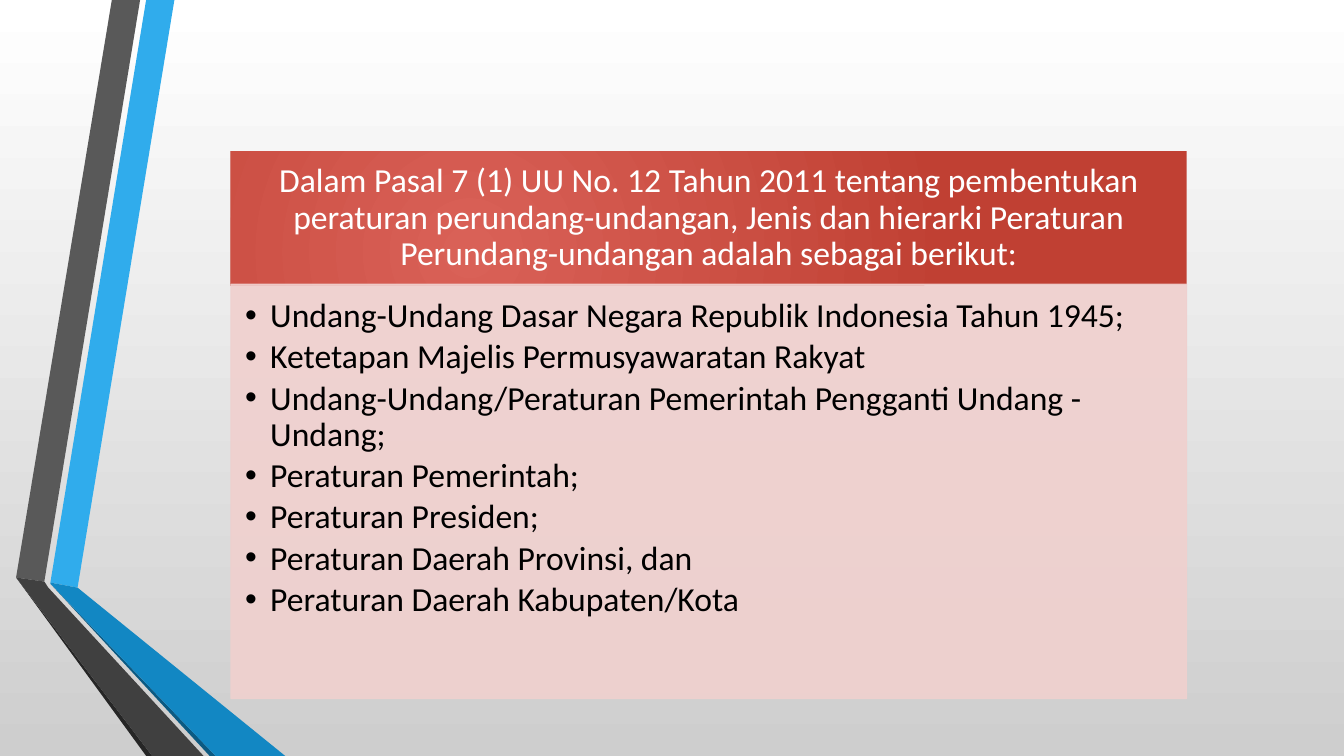
from dataclasses import dataclass

from lxml.etree import SubElement
from pptx import Presentation
from pptx.dml.color import RGBColor
from pptx.dml.fill import FillFormat
from pptx.enum.text import MSO_ANCHOR as Anchor, MSO_AUTO_SIZE as AutoSize, PP_ALIGN as Align
from pptx.oxml.ns import qn
from pptx.shapes.autoshape import Shape
from pptx.slide import Slide
from pptx.util import Inches, Pt

Point = tuple[float, float]


@dataclass
class Ribbon:
    color: str
    points: list[Point]


@dataclass
class Panel:
    top: float
    height: float
    insets: tuple[float, float, float, float]
    anchor: Anchor
    lines: list[str]
    paragraph: dict
    color: str


RIBBONS = [
    Ribbon("30ACEC", [(0.5, 5.78), (0.77, 5.83), (1.73, 0), (1.45, 0)]),
    Ribbon("595959", [(1.39, 0), (1.11, 0), (0.16, 5.73), (0.44, 5.77)]),
    Ribbon("262626", [(0.16, 5.73), (1.45, 7.5), (1.51, 7.5)]),
    Ribbon("0C5A82", [(0.5, 5.79), (2.08, 7.5), (2.14, 7.5)]),
    Ribbon("1287C3", [(0.5, 5.79), (2.14, 7.5), (2.83, 7.5), (0.77, 5.83), (0.5, 5.78)]),
    Ribbon("404040", [(2.02, 7.5), (0.48, 5.83), (0.44, 5.77), (0.16, 5.73), (1.51, 7.5)]),
]

HEADING = Panel(
    1.5, 1.33, (0.19, 0.11, 0.19, 0.11), Anchor.MIDDLE,
    ["Dalam Pasal 7 (1) UU No. 12 Tahun 2011 tentang pembentukan peraturan "
     "perundang-undangan, Jenis dan hierarki Peraturan Perundang-undangan "
     "adalah sebagai berikut:"],
    {"alignment": Align.CENTER}, "FFFFFF")

HIERARCHY = Panel(
    2.82, 4.11, (0.14, 0.14, 0.19, 0.21), Anchor.TOP,
    ["Undang-Undang Dasar Negara Republik Indonesia Tahun 1945;",
     "Ketetapan Majelis Permusyawaratan Rakyat",
     "Undang-Undang/Peraturan Pemerintah Pengganti Undang - Undang;",
     "Peraturan Pemerintah;",
     "Peraturan Presiden;",
     "Peraturan Daerah Provinsi, dan",
     "Peraturan Daerah Kabupaten/Kota"],
    {"alignment": Align.LEFT, "space_after": Pt(3.6)}, "000000")


def rgb(value: str) -> RGBColor:
    return RGBColor.from_string(value)


def set_attrs(target: object, values: dict) -> None:
    for name, value in values.items():
        setattr(target, name, value)


def set_gradient(fill: FillFormat, start: str, end: str) -> None:
    fill.gradient()
    for stop, color, position in zip(fill.gradient_stops, (start, end), (0, 1)):
        stop.color.rgb = rgb(color)
        stop.position = position


def make_radial(shape: Shape) -> None:
    """Replace the linear direction of a gradient fill with a circular one."""
    grad = shape._element.spPr.find(qn("a:gradFill"))
    grad.remove(grad.find(qn("a:lin")))
    circle = SubElement(grad, qn("a:path"), {"path": "circle"})
    SubElement(circle, qn("a:fillToRect"),
               {"l": "50000", "t": "100000", "r": "100000", "b": "50000"})


def set_tint(shape: Shape, color: str) -> None:
    """Give the fill and outline one colour at 90% opacity."""
    shape.fill.solid()
    shape.fill.fore_color.rgb = rgb(color)
    shape.line.color.rgb = rgb(color)
    shape.line.width = Pt(0.75)
    for clr in shape._element.spPr.iter(qn("a:srgbClr")):
        SubElement(clr, qn("a:alpha"), {"val": "90000"})


def draw_ribbon(s: Slide, ribbon: Ribbon) -> None:
    start, *rest = [(Inches(x), Inches(y)) for x, y in ribbon.points]
    builder = s.shapes.build_freeform(*start)
    builder.add_line_segments(rest, close=True)
    sp = builder.convert_to_shape()
    sp.shadow.inherit = False
    sp.fill.solid()
    sp.fill.fore_color.rgb = rgb(ribbon.color)
    sp.line.fill.background()


def fill_panel(sp: Shape, panel: Panel, bulleted: bool = False) -> None:
    set_attrs(sp, {"left": Inches(2.29), "top": Inches(panel.top),
                   "width": Inches(9.48), "height": Inches(panel.height)})
    tf = sp.text_frame
    sides = ("margin_left", "margin_top", "margin_right", "margin_bottom")
    set_attrs(tf, dict(zip(sides, map(Inches, panel.insets))))
    set_attrs(tf, {"word_wrap": True, "auto_size": AutoSize.NONE,
                   "vertical_anchor": panel.anchor, "text": "\n".join(panel.lines)})
    for p in tf.paragraphs:
        set_attrs(p, {"line_spacing": 0.9, "space_before": Pt(0), **panel.paragraph})
        if bulleted:
            pPr = p._p.get_or_add_pPr()
            pPr.set("marL", str(Inches(0.25)))
            pPr.set("indent", str(Inches(-0.25)))
            SubElement(pPr, qn("a:buChar"), {"char": "•"})
        set_attrs(p.runs[0].font, {"name": "Calibri", "size": Pt(24)})
        p.runs[0].font.color.rgb = rgb(panel.color)


def main() -> None:
    prs = Presentation()
    prs.slide_width, prs.slide_height = Inches(13.33), Inches(7.5)
    s = prs.slides.add_slide(prs.slide_layouts[1])
    background = s.background.fill
    set_gradient(background, "FFFFFF", "CECECE")
    background.gradient_angle = 270

    for ribbon in RIBBONS:
        draw_ribbon(s, ribbon)

    title, body = s.shapes.title, s.placeholders[1]
    fill_panel(title, HEADING)
    set_gradient(title.fill, "D96157", "C04033")
    make_radial(title)
    fill_panel(body, HIERARCHY, bulleted=True)
    set_tint(body, "F0D0CE")

    prs.save("out.pptx")


if __name__ == "__main__":
    main()
